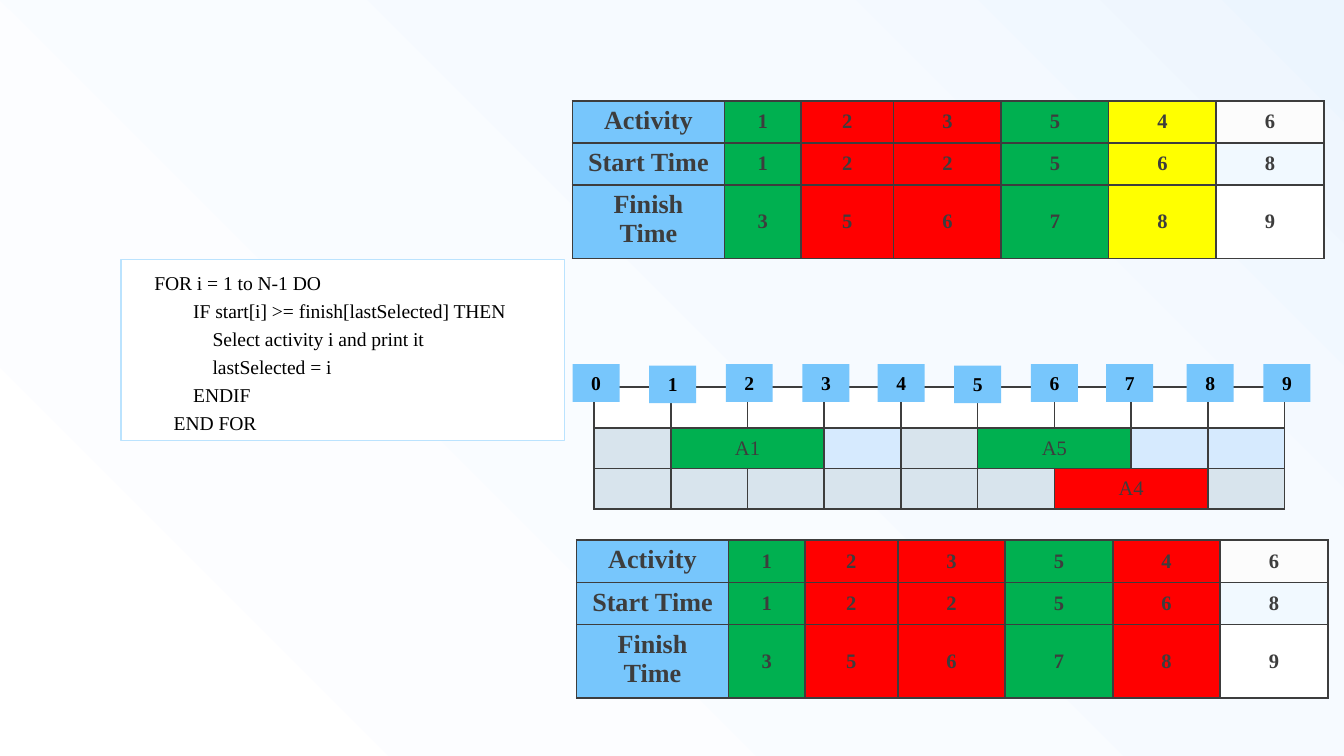
"""Build the activity selection slide: pseudocode, activity tables and timeline."""
import pptx
import pptx.dml.color
import pptx.enum.shapes
import pptx.enum.text
import pptx.oxml
import pptx.oxml.ns
import pptx.util

Inches = pptx.util.Inches
Pt = pptx.util.Pt
ALIGN = pptx.enum.text.PP_ALIGN
ANCHOR = pptx.enum.text.MSO_ANCHOR

WIDTH = 10
HEIGHT = WIDTH * 9 / 16
FONT = "Times New Roman"
DARK, BLACK, WHITE = "3D3D3D", "000000", "FFFFFF"
BLUE, GREEN, RED, YELLOW = "77C6FC", "00B050", "FF0000", "FFFF00"
GREY, PALE = "D8E4ED", "D6EAFE"
BACKGROUND = [(0, "ECF5FE"), (29, "F6FAFF"), (99, "FFFFFF")]

CODE = [
    "FOR i = 1 to N-1 DO",
    "        IF start[i] >= finish[lastSelected] THEN",
    "            Select activity i and print it",
    "            lastSelected = i",
    "        ENDIF",
    "    END FOR",
]
ACTIVITIES = [
    ["Activity", "1", "2", "3", "5", "4", "6"],
    ["Start Time", "1", "2", "2", "5", "6", "8"],
    ["Finish Time", "3", "5", "6", "7", "8", "9"],
]
ACTIVITY_COLS = [1.13, 0.57, 0.69, 0.8, 0.8, 0.8, 0.8]
ACTIVITY_ROWS = [0.31, 0.31, 0.54]
LAST_COLUMN = ["FCFCFC", "F1F9FF", WHITE]
ACTIVITY_TABLES = [(4.26, 0.75, YELLOW), (4.29, 4.02, RED)]

STEP = 5.14 / 9
TIMELINE_ROWS = [0.91 / 3] * 3
TIMELINE_FILLS = [
    [WHITE] * 9,
    [GREY, GREEN, GREEN, PALE, GREY, GREEN, GREEN, PALE, PALE],
    [GREY] * 6 + [RED, RED, GREY],
]
TIMELINE_BARS = {(1, 1): "A1", (1, 5): "A5", (2, 6): "A4"}
HOUR_LEFTS = [4.26, 4.83, 5.4, 5.97, 6.53, 7.1, 7.67, 8.23, 8.83, 9.4]


def rgb(value):
    return pptx.dml.color.RGBColor.from_string(value)


def style(p, size, color, bold=False):
    for r in p.runs:
        r.font.name = FONT
        r.font.size = Pt(size)
        r.font.bold = bold
        r.font.color.rgb = rgb(color)


def set_background(slide):
    stops = "".join(
        f'<a:gs pos="{pos * 1000}"><a:srgbClr val="{color}"/></a:gs>'
        for pos, color in BACKGROUND)
    grad = pptx.oxml.parse_xml(
        f'<a:gradFill {pptx.oxml.ns.nsdecls("a")} rotWithShape="1">'
        f'<a:gsLst>{stops}</a:gsLst><a:path path="circle">'
        '<a:fillToRect l="100000" b="100000"/></a:path></a:gradFill>')
    slide.background.fill.solid()
    bg_pr = slide._element.cSld.bg.bgPr
    bg_pr.replace(bg_pr[0], grad)


def add_box(slide, at, fill, line=None):
    sp = slide.shapes.add_shape(
        pptx.enum.shapes.MSO_SHAPE.RECTANGLE, *map(Inches, at))
    sp.shadow.inherit = False
    sp.fill.solid()
    sp.fill.fore_color.rgb = rgb(fill)
    if line:
        sp.line.color.rgb = rgb(line)
        sp.line.width = Pt(0.75)
    else:
        sp.line.fill.background()
    sp.text_frame.word_wrap = True
    sp.text_frame.auto_size = pptx.enum.text.MSO_AUTO_SIZE.SHAPE_TO_FIT_TEXT
    sp.text_frame.vertical_anchor = ANCHOR.TOP
    return sp


def add_borders(cell):
    tc_pr = cell._tc.get_or_add_tcPr()
    for i, side in enumerate("LRTB"):
        tc_pr.insert(i, pptx.oxml.parse_xml(
            f'<a:ln{side} {pptx.oxml.ns.nsdecls("a")} w="12700"><a:solidFill>'
            f'<a:srgbClr val="{DARK}"/></a:solidFill></a:ln{side}>'))


def format_cell(cell, text, fill, size=11, bold=False, anchor=ANCHOR.MIDDLE):
    cell.margin_left = cell.margin_right = Inches(0.07)
    cell.margin_top = cell.margin_bottom = Inches(0.04)
    cell.vertical_anchor = anchor
    cell.fill.solid()
    cell.fill.fore_color.rgb = rgb(fill)
    add_borders(cell)
    cell.text_frame.text = text
    p = cell.text_frame.paragraphs[0]
    p.alignment = ALIGN.CENTER
    p._p.get_or_add_endParaRPr().set("sz", str(size * 100))
    style(p, size, DARK, bold)


def add_grid(slide, left, top, cols, rows):
    table = slide.shapes.add_table(
        len(rows), len(cols), Inches(left), Inches(top),
        Inches(sum(cols)), Inches(sum(rows))).table
    table.first_row = table.horz_banding = False
    for column, width in zip(table.columns, cols):
        column.width = Inches(width)
    for row, height in zip(table.rows, rows):
        row.height = Inches(height)
    return table


def add_activities(slide, left, top, candidate):
    table = add_grid(slide, left, top, ACTIVITY_COLS, ACTIVITY_ROWS)
    for i, values in enumerate(ACTIVITIES):
        fills = [BLUE, GREEN, RED, RED, GREEN, candidate, LAST_COLUMN[i]]
        for j, (text, fill) in enumerate(zip(values, fills)):
            if j == 0:
                format_cell(table.cell(i, j), text, fill, 14, True, ANCHOR.TOP)
            else:
                format_cell(table.cell(i, j), text, fill, bold=True)


def add_timeline(slide):
    table = add_grid(slide, 4.42, 2.88, [STEP] * 9, TIMELINE_ROWS)
    for i, fills in enumerate(TIMELINE_FILLS):
        for j, fill in enumerate(fills):
            format_cell(table.cell(i, j), TIMELINE_BARS.get((i, j), ""), fill)
    for i, j in TIMELINE_BARS:
        table.cell(i, j).merge(table.cell(i, j + 1))


def add_hours(slide):
    for hour, left in enumerate(HOUR_LEFTS):
        top = 2.72 if hour in (1, 5) else 2.71
        sp = add_box(slide, (left, top, 0.35, 0.28), BLUE)
        sp.text_frame.text = str(hour)
        p = sp.text_frame.paragraphs[0]
        p.alignment = ALIGN.CENTER
        style(p, 10.5, BLACK, True)


def add_code(slide):
    tf = add_box(slide, (0.9, 1.93, 3.3, 1.35), WHITE, "BBE3FE").text_frame
    tf.text = "\n".join(CODE)
    for p in tf.paragraphs:
        p.alignment = ALIGN.LEFT
        p.line_spacing = 1.2
        p._p.get_or_add_pPr().set("marL", str(Inches(0.15)))
        style(p, 10.5, BLACK)


def main():
    prs = pptx.Presentation()
    prs.slide_width, prs.slide_height = Inches(WIDTH), Inches(HEIGHT)
    slide = prs.slides.add_slide(prs.slide_layouts[6])
    set_background(slide)
    add_code(slide)
    (first, second) = ACTIVITY_TABLES
    add_activities(slide, *first)
    add_timeline(slide)
    add_activities(slide, *second)
    add_hours(slide)
    prs.save("out.pptx")


if __name__ == "__main__":
    main()
